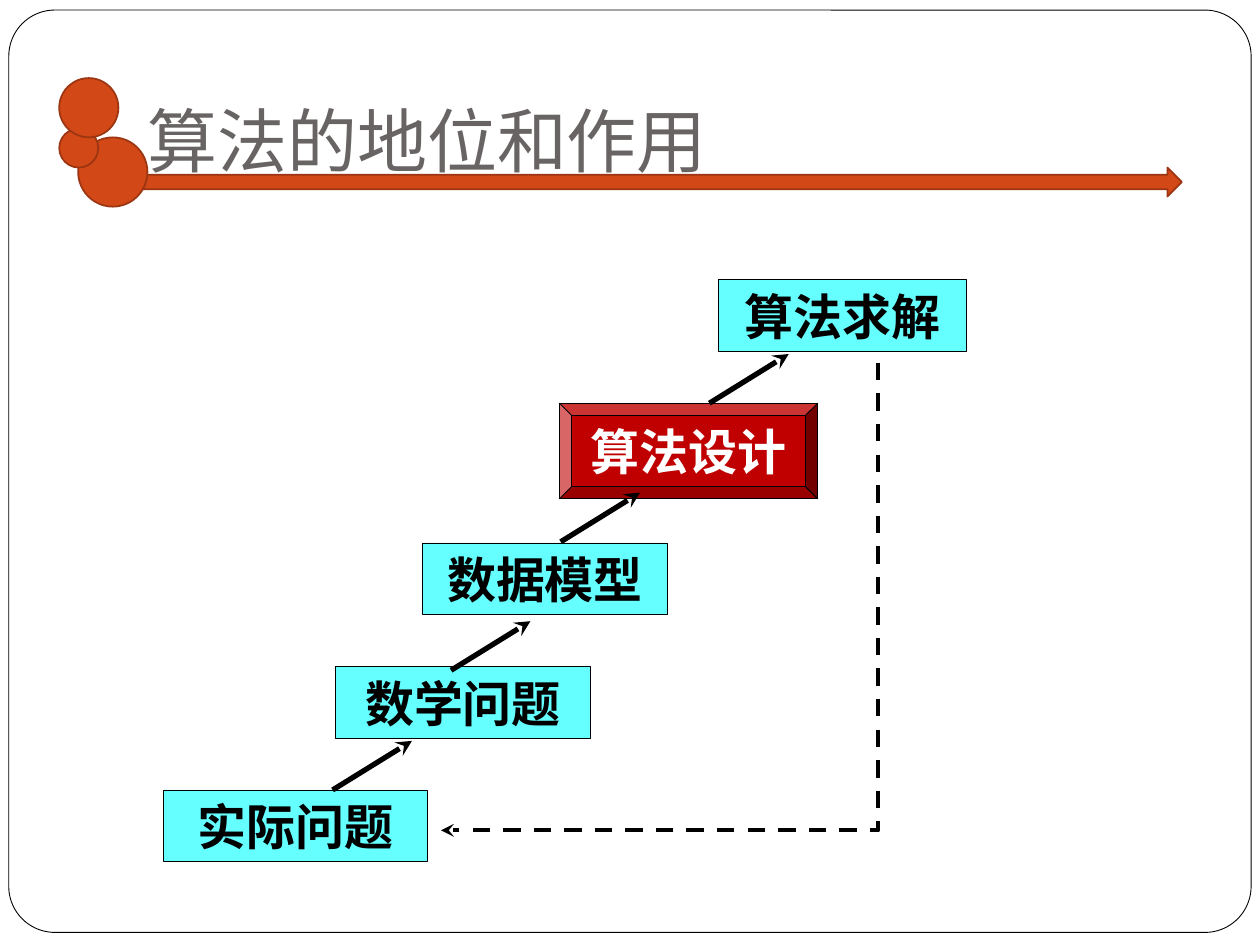
from pptx import Presentation
from pptx.dml.color import RGBColor
from pptx.enum.dml import MSO_LINE
from pptx.enum.shapes import MSO_CONNECTOR, MSO_SHAPE
from pptx.enum.text import MSO_ANCHOR, PP_ALIGN
from pptx.oxml.ns import qn
from pptx.util import Inches, Pt
from lxml.etree import SubElement

COLORS = {
    "paper": "FFFFFF", "ink": "000000", "title": "696464",
    "accent": "D34817", "accent_edge": "9C3511",
    "step": "66FFFF", "focus": "C00000",
}


def color(name):
    return RGBColor.from_string(COLORS[name])


def add_block(kind, box, fill, edge, edge_width):
    block = slide.shapes.add_shape(kind, *map(Inches, box))
    block.shadow.inherit = False
    block.fill.solid()
    block.fill.fore_color.rgb = color(fill)
    block.line.color.rgb = color(edge)
    block.line.width = Pt(edge_width)
    return block


prs = Presentation()
prs.slide_width, prs.slide_height = Inches(10), Inches(7.5)
slide = prs.slides.add_slide(prs.slide_layouts[5])

# Frame and title ornament
frame = add_block(MSO_SHAPE.ROUNDED_RECTANGLE, (0.07, 0.08, 9.86, 7.32), "paper", "ink", 0.5)
frame.adjustments[0] = 0.05
add_block(MSO_SHAPE.RIGHT_ARROW, (0.86, 1.33, 8.52, 0.23), "accent", "accent_edge", 1)
for left, top, size in [(0.62, 1.09, 0.55), (0.47, 1.02, 0.31), (0.47, 0.62, 0.47)]:
    add_block(MSO_SHAPE.OVAL, (left, top, size, size), "accent", "accent_edge", 1)

# Title, brought in front of the ornament
title = slide.shapes.title
title.left, title.top, title.width, title.height = map(Inches, (1.07, 0.52, 8.66, 1.02))
title.element.getparent().append(title.element)
title_frame = title.text_frame
title_frame.text = "算法的地位和作用"
title_frame.vertical_anchor = MSO_ANCHOR.BOTTOM
title_frame.margin_bottom = Inches(0.1)
heading = title_frame.paragraphs[0]
heading.alignment = PP_ALIGN.LEFT
heading.font.name = "Cabin"
heading.font.size = Pt(40)
heading.font.color.rgb = color("title")

# Steps, from the bottom up
RECT, BEVEL = MSO_SHAPE.RECTANGLE, MSO_SHAPE.BEVEL
steps = [
    ("实际问题", RECT, (1.3, 6.27, 2.09, 0.57), "step", "ink"),
    ("数学问题", RECT, (2.66, 5.29, 2.03, 0.57), "step", "ink"),
    ("数据模型", RECT, (3.35, 4.31, 1.95, 0.57), "step", "ink"),
    ("算法设计", BEVEL, (4.44, 3.2, 2.05, 0.76), "focus", "paper"),
    ("算法求解", RECT, (5.7, 2.22, 1.97, 0.57), "step", "ink"),
]
for label, kind, box, fill, text_color in steps:
    step = add_block(kind, box, fill, "ink", 0.5)
    step.text_frame.text = label
    step.text_frame.word_wrap = False
    step.text_frame.vertical_anchor = MSO_ANCHOR.MIDDLE
    caption = step.text_frame.paragraphs[0]
    caption.alignment = PP_ALIGN.CENTER
    caption.font.name = "Arial"
    caption.font.size = Pt(28)
    caption.font.bold = True
    caption.font.color.rgb = color(text_color)

# Arrows between steps, all with the same rise
RUN, RISE = 0.63, 0.39
arrows = []
for x, y in [(2.64, 6.27), (3.58, 5.32), (4.45, 4.3), (5.63, 3.2)]:
    arrow = slide.shapes.add_connector(
        MSO_CONNECTOR.STRAIGHT, Inches(x), Inches(y), Inches(x + RUN), Inches(y - RISE))
    arrow.line.width = Pt(3)
    SubElement(arrow.element.spPr, qn("a:effectLst"))
    arrows.append(arrow)

# Dashed way back from the solution to the practical problem
outline = slide.shapes.build_freeform(Inches(6.97), Inches(2.88))
outline.add_line_segments(
    [(Inches(6.97), Inches(6.59)), (Inches(3.5), Inches(6.59))], close=False)
feedback = outline.convert_to_shape()
feedback.shadow.inherit = False
feedback.fill.background()
feedback.line.width = Pt(2.5)
feedback.line.dash_style = MSO_LINE.DASH
arrows.append(feedback)

# Line colour and arrowheads
for arrow in arrows:
    arrow.line.color.rgb = color("ink")
    SubElement(arrow.line._get_or_add_ln(), qn("a:tailEnd"), type="stealth")

prs.save("out.pptx")
